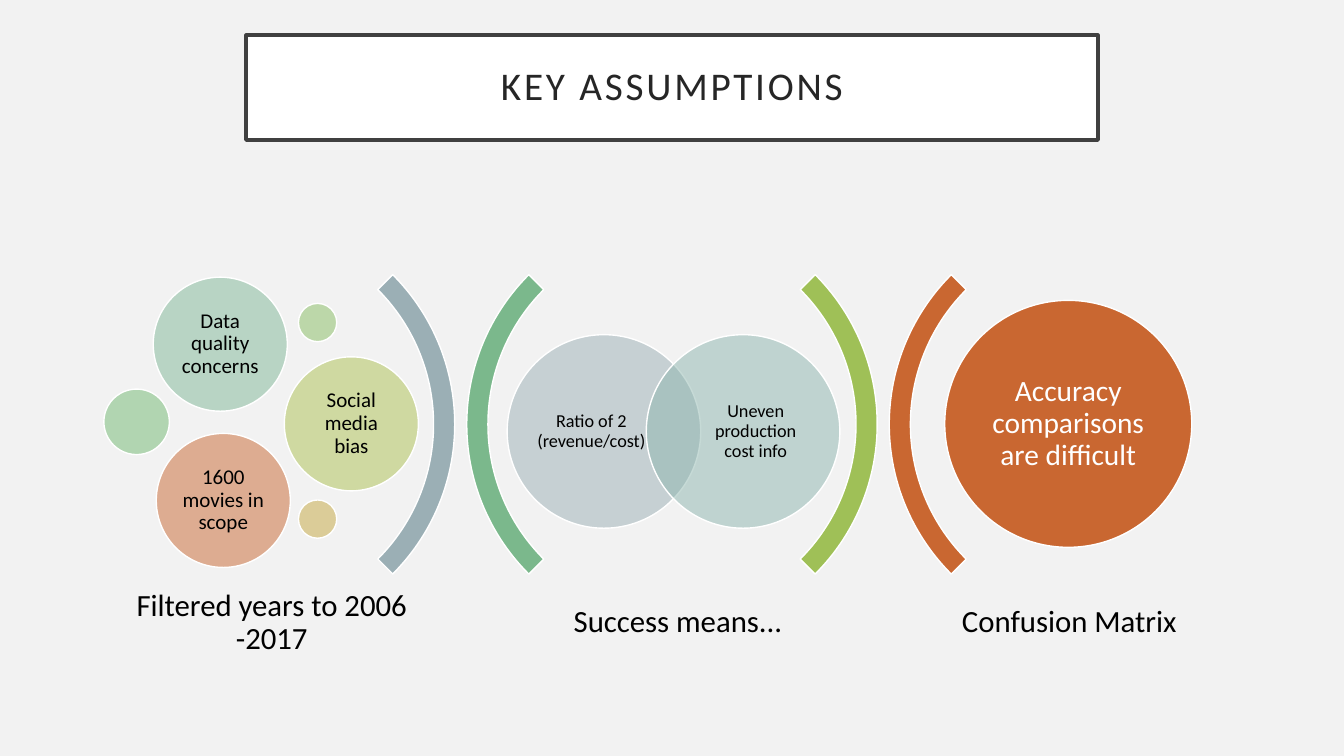
from typing import NamedTuple

from lxml import etree
from pptx import Presentation
from pptx.dml.color import RGBColor
from pptx.enum.shapes import MSO_SHAPE
from pptx.enum.text import MSO_ANCHOR, PP_ALIGN
from pptx.oxml.ns import qn
from pptx.util import Inches, Pt

RECT, OVAL, ARC = MSO_SHAPE.RECTANGLE, MSO_SHAPE.OVAL, MSO_SHAPE.BLOCK_ARC
MIDDLE, CENTER = MSO_ANCHOR.MIDDLE, PP_ALIGN.CENTER

FONT = "Calibri"
WHITE = RGBColor(0xFF, 0xFF, 0xFF)
BLACK = RGBColor(0x00, 0x00, 0x00)
BACKDROP = RGBColor(0xF2, 0xF2, 0xF2)
TITLE_TEXT = RGBColor(0x26, 0x26, 0x26)
TITLE_BORDER = RGBColor(0x40, 0x40, 0x40)
SLATE = RGBColor(0x9B, 0xAF, 0xB5)
GREEN = RGBColor(0x7B, 0xB8, 0x8C)
LIME = RGBColor(0x9F, 0xC0, 0x57)
ORANGE = RGBColor(0xC9, 0x67, 0x31)
TEAL = RGBColor(0x8E, 0xB6, 0xAF)
MINT = RGBColor(0x80, 0xB8, 0x97)
LEAF = RGBColor(0x71, 0xBA, 0x71)
MOSS = RGBColor(0x87, 0xBD, 0x62)
OLIVE = RGBColor(0xAE, 0xC1, 0x51)
GOLD = RGBColor(0xC6, 0xA7, 0x40)

ARC_SIZE, ARC_TOP = 4.2, 2.11
LABEL_TOP, LABEL_WIDTH, LABEL_HEIGHT = 5.76, 3.19, 0.84
BIG, MEDIUM, SMALL, VENN = 1.33, 0.65, 0.38, 1.92


class Arc(NamedTuple):
    left: float
    rotation: int
    color: RGBColor


class Circle(NamedTuple):
    left: float
    top: float
    size: float
    color: RGBColor
    text: str = ""
    font_size: int = 15
    font_color: RGBColor = BLACK
    opacity: int = 50
    insets: tuple[float, float, float, float] = (0.06, 0.06, 0.06, 0.06)


class Label(NamedTuple):
    left: float
    text: str


ARCS = [
    Arc(0.31, 90, SLATE),
    Arc(4.63, 270, GREEN),
    Arc(4.5, 90, LIME),
    Arc(8.82, 270, ORANGE),
]
CIRCLES = [
    Circle(5.03, 3.32, VENN, SLATE, "Ratio of 2 (revenue/cost)", 13,
           insets=(0, 0, 0.25, 0)),
    Circle(6.41, 3.32, VENN, TEAL, "Uneven production cost info", 13,
           insets=(0.25, 0, 0, 0)),
    Circle(1.52, 2.75, BIG, MINT, "Data quality concerns"),
    Circle(1.03, 3.86, MEDIUM, LEAF),
    Circle(2.96, 3.01, SMALL, MOSS),
    Circle(2.82, 3.54, BIG, OLIVE, "Social media bias"),
    Circle(2.96, 4.96, SMALL, GOLD),
    Circle(1.55, 4.3, BIG, ORANGE, "1600 movies in scope"),
    Circle(9.37, 2.98, 2.45, ORANGE, "Accuracy comparisons are difficult", 21,
           WHITE, 100, (0.09, 0.09, 0.09, 0.09)),
]
LABELS = [
    Label(1.1, "Filtered years to 2006 -2017"),
    Label(5.13, "Success means..."),
    Label(9.01, "Confusion Matrix"),
]


def add_filled(s, kind, left: float, top: float, width: float, height: float,
               fill: RGBColor, line: RGBColor = WHITE, line_width: float = 1):
    sp = s.shapes.add_shape(kind, Inches(left), Inches(top),
                            Inches(width), Inches(height))
    sp.shadow.inherit = False
    sp.fill.solid()
    sp.fill.fore_color.rgb = fill
    sp.line.color.rgb = line
    sp.line.width = Pt(line_width)
    return sp


def set_text(sp, text: str, size: int, color: RGBColor,
             insets: tuple[float, float, float, float]):
    """Write one centred paragraph; insets are left, top, right, bottom."""
    tf = sp.text_frame
    tf.word_wrap = True
    tf.vertical_anchor = MIDDLE
    tf.margin_left, tf.margin_top, tf.margin_right, tf.margin_bottom = map(
        Inches, insets)
    p = tf.paragraphs[0]
    p.text = text
    p.alignment = CENTER
    p.line_spacing = 0.9
    p.font.name = FONT
    p.font.size = Pt(size)
    p.font.color.rgb = color
    return p


def add_title(s) -> None:
    sp = add_filled(s, RECT, 2.44, 0.35, 8.45, 1.04, WHITE, TITLE_BORDER, 2.5)
    p = set_text(sp, "KEY ASSUMPTIONS", 28, TITLE_TEXT, (0.2, 0.2, 0.2, 0.2))
    p.runs[0].font._element.set("spc", "200")


def add_arc(s, arc: Arc) -> None:
    sp = add_filled(s, ARC, arc.left, ARC_TOP, ARC_SIZE, ARC_SIZE, arc.color)
    sp.rotation = arc.rotation
    # Angles are in units of 100000 sixtieths of a thousandth of a degree
    for i, value in enumerate((135, 189, 0.05)):
        sp.adjustments[i] = value


def add_circle(s, circle: Circle) -> None:
    sp = add_filled(s, OVAL, circle.left, circle.top, circle.size, circle.size,
                    circle.color)
    if circle.opacity < 100:
        color = sp._element.spPr.find(qn("a:solidFill"))[0]
        etree.SubElement(color, qn("a:alpha"), val=str(circle.opacity * 1000))
    if circle.text:
        set_text(sp, circle.text, circle.font_size, circle.font_color,
                 circle.insets)


def add_label(s, label: Label) -> None:
    sp = s.shapes.add_textbox(Inches(label.left), Inches(LABEL_TOP),
                              Inches(LABEL_WIDTH), Inches(LABEL_HEIGHT))
    set_text(sp, label.text, 22, BLACK, (0.09, 0.09, 0.09, 0.09))


def main() -> None:
    prs = Presentation()
    prs.slide_width, prs.slide_height = Inches(13.33), Inches(7.5)
    s = prs.slides.add_slide(prs.slide_layouts[6])
    s.background.fill.solid()
    s.background.fill.fore_color.rgb = BACKDROP
    add_title(s)
    for arc in ARCS:
        add_arc(s, arc)
    for circle in CIRCLES:
        add_circle(s, circle)
    for label in LABELS:
        add_label(s, label)
    prs.save("out.pptx")


if __name__ == "__main__":
    main()
